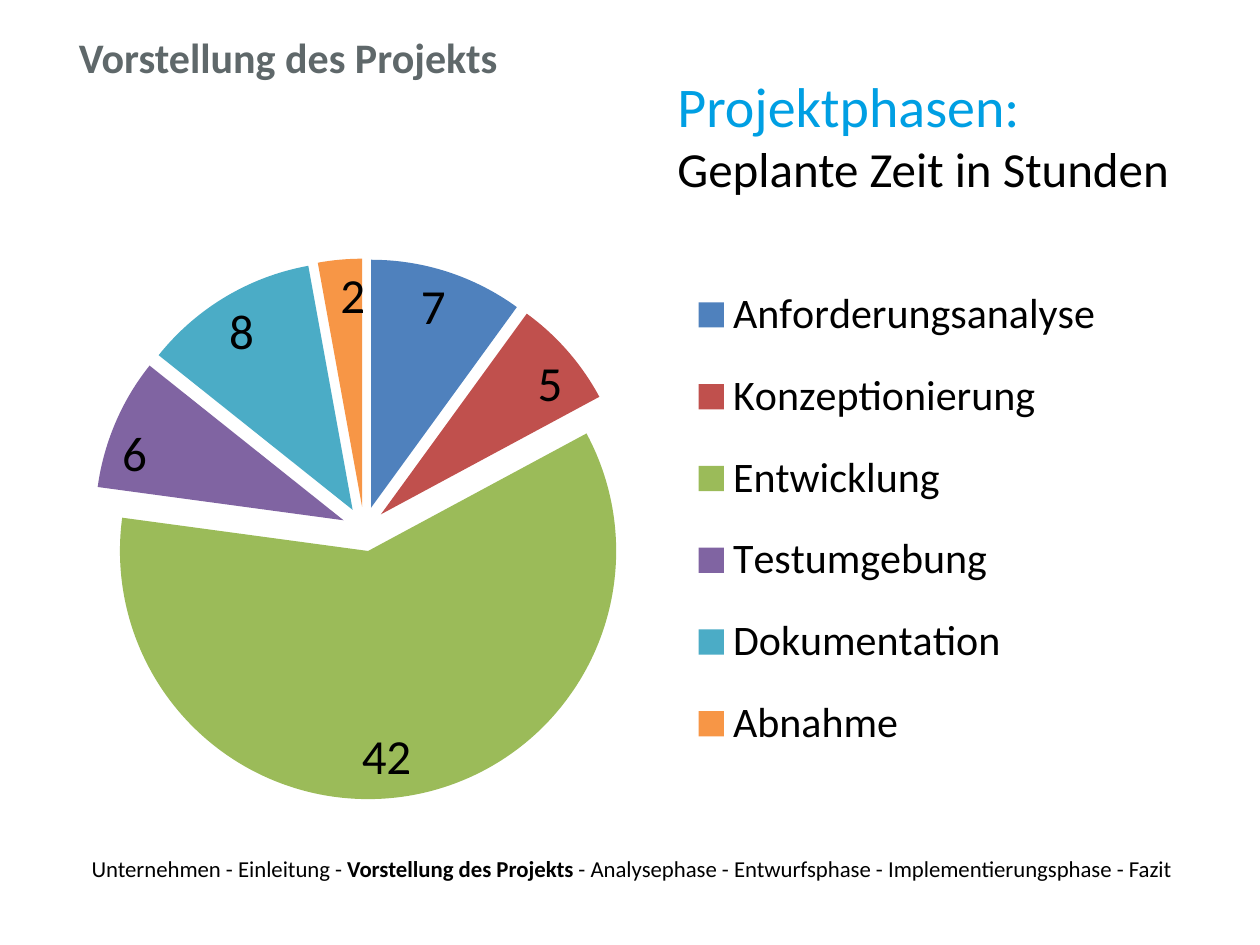
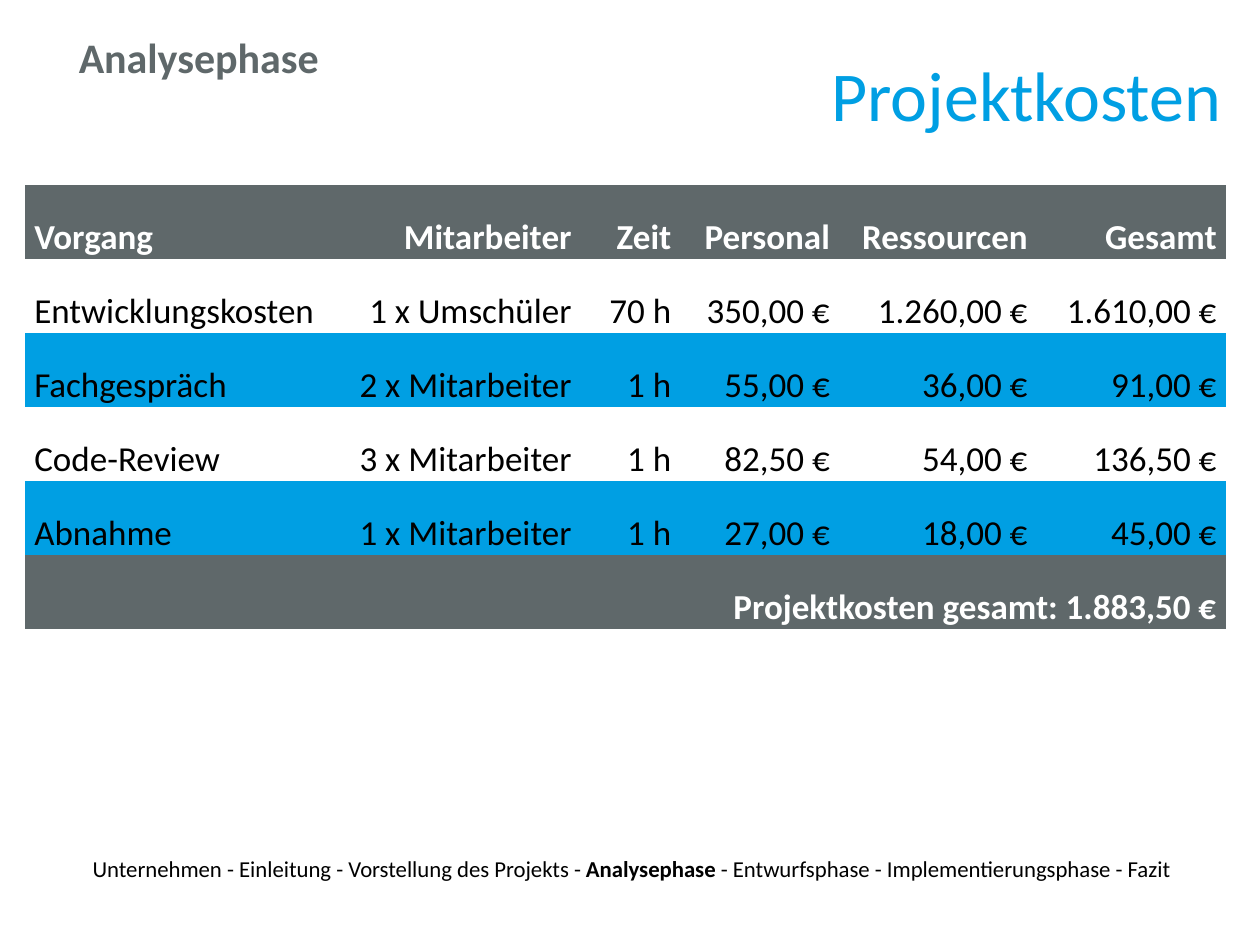
from dataclasses import dataclass

from lxml import etree
from pptx import Presentation
from pptx.chart.data import CategoryChartData
from pptx.dml.color import RGBColor
from pptx.enum.chart import XL_CHART_TYPE, XL_LABEL_POSITION, XL_LEGEND_POSITION
from pptx.enum.text import MSO_ANCHOR, PP_ALIGN
from pptx.oxml.ns import qn
from pptx.util import Pt

PIE = XL_CHART_TYPE.PIE
INSIDE_END = XL_LABEL_POSITION.INSIDE_END
LEGEND_RIGHT = XL_LEGEND_POSITION.RIGHT
MIDDLE, BOTTOM = MSO_ANCHOR.MIDDLE, MSO_ANCHOR.BOTTOM
LEFT, CENTER, RIGHT = PP_ALIGN.LEFT, PP_ALIGN.CENTER, PP_ALIGN.RIGHT
PLAIN_TABLE_STYLE = "{2D5ABB26-0587-4C30-8999-92F81FD0307C}"


@dataclass(frozen=True)
class Theme:
    """Colours and type sizes shared by the slides."""

    font: str = "Calibri"
    gray: str = "5F686A"
    blue: str = "009FE3"
    black: str = "000000"
    white: str = "FFFFFF"
    pie: tuple = ("4F81BD", "C0504D", "9BBB59", "8064A2", "4BACC6", "F79646")
    footer: int = 13
    table: int = 20
    section: int = 24
    legend: int = 24
    label: int = 28
    subtitle: int = 28
    title: int = 32
    big_title: int = 40


THEME = Theme()
SECTIONS = ("Unternehmen", "Einleitung", "Vorstellung des Projekts", "Analysephase",
            "Entwurfsphase", "Implementierungsphase", "Fazit")
PHASES = {"Anforderungsanalyse": 7, "Konzeptionierung": 5, "Entwicklung": 42,
          "Testumgebung": 6, "Dokumentation": 8, "Abnahme": 2}
COST_COLUMNS = (181.4, 136.1, 56.9, 90.7, 113, 108)
COST_ROW_HEIGHT = 42.3
COSTS = (
    ("Vorgang", "Mitarbeiter", "Zeit", "Personal", "Ressourcen", "Gesamt"),
    ("Entwicklungskosten", "1 x Umschüler", "70 h", "350,00 €", "1.260,00 €", "1.610,00 €"),
    ("Fachgespräch", "2 x Mitarbeiter", "1 h", "55,00 €", "36,00 €", "91,00 €"),
    ("Code-Review", "3 x Mitarbeiter", "1 h", "82,50 €", "54,00 €", "136,50 €"),
    ("Abnahme", "1 x Mitarbeiter", "1 h", "27,00 €", "18,00 €", "45,00 €"),
    ("Projektkosten gesamt: 1.883,50 €",),
)


def style_font(font, size, color, bold=False):
    """Apply the theme font with a size, colour and weight."""
    font.name = THEME.font
    font.size = Pt(size)
    font.bold = bold
    font.color.rgb = RGBColor.from_string(color)


def add_text_frame(slide, box, wrap=True):
    """Add a text box and return its text frame."""
    frame = slide.shapes.add_textbox(*map(Pt, box)).text_frame
    frame.word_wrap = wrap
    return frame


def add_section_name(slide, box, section):
    """Write the name of the current section at the top left."""
    frame = add_text_frame(slide, box)
    frame.margin_left = Pt(45)
    paragraph = frame.paragraphs[0]
    paragraph.text = section
    paragraph.line_spacing = 1.5
    style_font(paragraph.font, THEME.section, THEME.gray, True)


def add_footer(slide, box, current):
    """List all sections with the current one in bold."""
    frame = add_text_frame(slide, box)
    frame.vertical_anchor = MIDDLE
    paragraph = frame.paragraphs[0]
    paragraph.alignment = CENTER
    position = SECTIONS.index(current)
    before = "".join(f"{name} - " for name in SECTIONS[:position])
    after = "".join(f" - {name}" for name in SECTIONS[position + 1:])
    for text in (before, current, after):
        run = paragraph.add_run()
        run.text = text
        style_font(run.font, THEME.footer, THEME.black, text == current)


def add_heading(slide, box, lines):
    """Write heading lines given as text, size and colour."""
    frame = add_text_frame(slide, box, wrap=False)
    for index, (text, size, color) in enumerate(lines):
        paragraph = frame.add_paragraph() if index else frame.paragraphs[0]
        paragraph.text = text
        style_font(paragraph.font, size, color)


def set_layout(parent, index, fractions, inner=False):
    """Place a chart part by fractions of the chart area."""
    for old_layout in parent.findall(qn("c:layout")):
        parent.remove(old_layout)
    layout = etree.Element(qn("c:layout"))
    manual = etree.SubElement(layout, qn("c:manualLayout"))
    settings = [("layoutTarget", "inner")] if inner else []
    settings += [("xMode", "edge"), ("yMode", "edge")]
    settings += zip("xywh", fractions)
    for name, value in settings:
        etree.SubElement(manual, qn(f"c:{name}")).set("val", str(value))
    parent.insert(index, layout)


def add_phase_pie(slide, box):
    """Draw the planned hours per phase as an exploded pie."""
    data = CategoryChartData()
    data.categories = list(PHASES)
    data.add_series("Series 1", PHASES.values())
    chart = slide.shapes.add_chart(PIE, *map(Pt, box), data).chart
    chart.has_title = False
    style_font(chart.font, 18, THEME.black)

    plot = chart.plots[0]
    plot.vary_by_categories = True
    series = plot.series[0]
    explosion = etree.Element(qn("c:explosion"))
    explosion.set("val", "9")
    series._element.find(qn("c:tx")).addnext(explosion)
    for index, color in enumerate(THEME.pie):
        fill = series.points[index].format.fill
        fill.solid()
        fill.fore_color.rgb = RGBColor.from_string(color)

    plot.has_data_labels = True
    labels = plot.data_labels
    labels.show_value = True
    labels.show_percentage = False
    labels.position = INSIDE_END
    style_font(labels.font, THEME.label, THEME.black)

    chart.has_legend = True
    legend = chart.legend
    legend.position = LEGEND_RIGHT
    legend.include_in_layout = False
    style_font(legend.font, THEME.legend, THEME.black)
    set_layout(legend._element, 1, (0.59, 0.13, 0.4, 0.81))
    plot_area = chart._chartSpace.find(f".//{qn('c:plotArea')}")
    set_layout(plot_area, 0, (0.08, 0.13, 0.48, 0.84), inner=True)


def fill_cost_cell(cell, text, fill, color, bold, alignment):
    """Write and colour one cell of the cost table."""
    cell.vertical_anchor = BOTTOM
    cell.margin_left = cell.margin_right = Pt(5.2)
    cell.margin_top, cell.margin_bottom = Pt(5.7), Pt(0)
    if fill:
        cell.fill.solid()
        cell.fill.fore_color.rgb = RGBColor.from_string(fill)
    else:
        cell.fill.background()
    paragraph = cell.text_frame.paragraphs[0]
    paragraph.text = text
    paragraph.alignment = alignment
    paragraph.line_spacing = 1.5
    style_font(paragraph.font, THEME.table, color, bold)


def add_cost_table(slide, left, top):
    """Build the cost table with header, banded rows and total."""
    last = len(COSTS) - 1
    size = (sum(COST_COLUMNS), COST_ROW_HEIGHT * len(COSTS))
    table = slide.shapes.add_table(len(COSTS), len(COST_COLUMNS),
                                   *map(Pt, (left, top, *size))).table
    table.first_row = table.horz_banding = False
    table._tbl.tblPr.find(qn("a:tableStyleId")).text = PLAIN_TABLE_STYLE
    for column, width in zip(table.columns, COST_COLUMNS):
        column.width = Pt(width)
    table.cell(last, 0).merge(table.cell(last, len(COST_COLUMNS) - 1))
    for row, texts in enumerate(COSTS):
        table.rows[row].height = Pt(COST_ROW_HEIGHT)
        strong = row in (0, last)
        band = THEME.blue if row % 2 == 0 else None
        fill = THEME.gray if strong else band
        color = THEME.white if strong else THEME.black
        for column, text in enumerate(texts):
            alignment = LEFT if column == 0 and row != last else RIGHT
            fill_cost_cell(table.cell(row, column), text, fill, color, strong, alignment)


def add_section_slide(presentation, section):
    """Add a blank slide with section name and footer."""
    slide = presentation.slides.add_slide(presentation.slide_layouts[6])
    add_section_name(slide, (0, 0, 303, 51), section)
    add_footer(slide, (36.7, 473.8, 648, 44.6), section)
    return slide


def add_phases_slide(presentation):
    """Show the project phases and their planned hours."""
    slide = add_section_slide(presentation, "Vorstellung des Projekts")
    add_phase_pie(slide, (0.7, 100, 648, 368))
    add_heading(slide, (380, 37.4, 298, 80), (
        ("Projektphasen:", THEME.title, THEME.blue),
        ("Geplante Zeit in Stunden", THEME.subtitle, THEME.black)))


def add_costs_slide(presentation):
    """Show the project costs."""
    slide = add_section_slide(presentation, "Analysephase")
    add_cost_table(slide, 14.4, 105.8)
    add_heading(slide, (468, 26, 240, 55.4), (
        ("Projektkosten", THEME.big_title, THEME.blue),))


def main():
    """Build and save the presentation."""
    presentation = Presentation()
    presentation.slide_width, presentation.slide_height = Pt(720), Pt(540)
    add_phases_slide(presentation)
    add_costs_slide(presentation)
    presentation.save("out.pptx")


if __name__ == "__main__":
    main()
